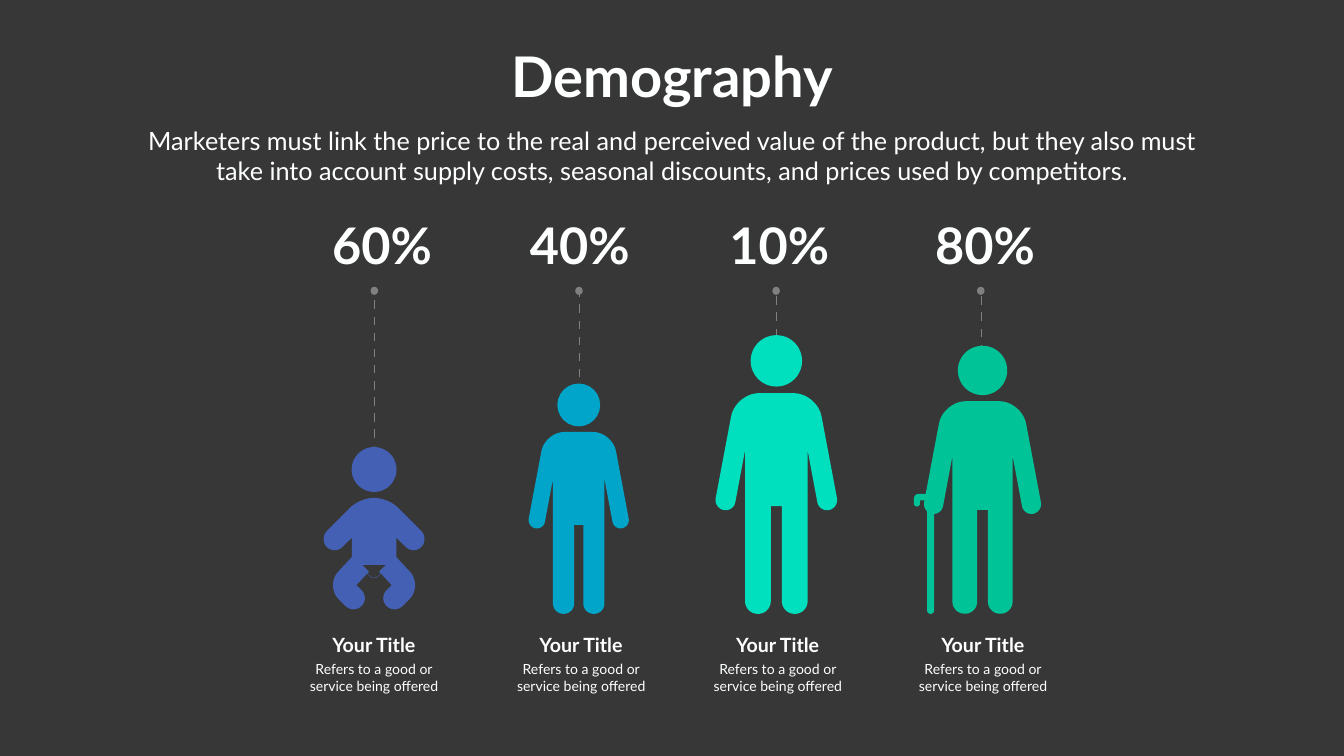
from math import hypot
from typing import NamedTuple

from lxml import etree
from pptx import Presentation
from pptx.dml.color import RGBColor
from pptx.enum.shapes import MSO_CONNECTOR, MSO_SHAPE
from pptx.enum.text import MSO_ANCHOR, PP_ALIGN
from pptx.oxml.ns import qn
from pptx.util import Emu, Pt

PX = 9144  # 100 px to the inch
STRAIGHT, OVAL = MSO_CONNECTOR.STRAIGHT, MSO_SHAPE.OVAL
CENTER, TOP = PP_ALIGN.CENTER, MSO_ANCHOR.TOP

BACKGROUND = RGBColor(0x37, 0x37, 0x37)
WHITE = RGBColor(0xFE, 0xFF, 0xFF)
GREY = RGBColor(0x80, 0x80, 0x80)
DIM = RGBColor(0x60, 0x60, 0x60)
BLUE = RGBColor(0x44, 0x60, 0xB4)
CYAN = RGBColor(0x00, 0xA5, 0xC9)
TURQUOISE = RGBColor(0x00, 0xDF, 0xBE)
GREEN = RGBColor(0x00, 0xC4, 0x97)

FONT = "Lato"
PIN_TOP, DASH, DASH_STEP = 577, 17, 32
CURVE_STEPS = 10
ROUNDNESS = 0.55


class Corner(NamedTuple):
    """A corner of an outline; cut is the length of each side lost to rounding."""
    x: int
    y: int
    cut: int = 0


class Figure(NamedTuple):
    center: int
    body_top: int
    scale: float
    head_top: int
    head_size: int
    color: RGBColor


class Column(NamedTuple):
    percent: str
    percent_left: int
    title_left: int
    pin_x: int
    pin_bottom: int
    dim_dashes: int
    figure: Figure


BABY = Figure(742, 988, 1, 887, 89, BLUE)
YOUNG = Figure(1148, 857, 0.824, 761, 85, CYAN)
ADULT = Figure(1540, 780, 1, 665, 102, TURQUOISE)
SENIOR = Figure(1949, 796, 0.963, 686, 98, GREEN)

COLUMNS = [
    Column("60%", 630, 645, 743, 933, 2, BABY),
    Column("40%", 1022, 1056, 1149, 813, 2, YOUNG),
    Column("10%", 1418, 1446, 1540, 733, 2, ADULT),
    Column("80%", 1826, 1853, 1946, 733, 1, SENIOR),
]

# Outlines are measured from the top centre of the body.
STANDING_HALF = [Corner(81, 0, 47), Corner(124, 228, 20), Corner(85, 236, 20), Corner(62, 113),
                 Corner(62, 438, 25), Corner(11, 438, 25), Corner(11, 224)]
BABY_HALF = [Corner(28, 0, 26), Corner(109, 81, 22), Corner(79, 113, 22),
             Corner(44, 79), Corner(44, 133)]
BABY_LEG = [Corner(42, 115), Corner(10, 146), Corner(35, 173), Corner(9, 199, 22),
            Corner(41, 230, 22), Corner(97, 174, 38)]
NAPPY = [Corner(-44, 119), Corner(44, 119), Corner(0, 164, 13)]
CANE = [Corner(-136, 184, 9), Corner(-96, 184, 13), Corner(-96, 422, 7), Corner(-110, 422, 7),
        Corner(-110, 197), Corner(-124, 197), Corner(-124, 209, 6), Corner(-136, 209, 6)]


def px(value: float) -> Emu:
    return Emu(round(value * PX))


def mirror(corners: list[Corner]) -> list[Corner]:
    return [Corner(-corner.x, corner.y, corner.cut) for corner in reversed(corners)]


def round_corners(corners: list[Corner]) -> list[tuple[float, float]]:
    """Return the outline's points, with a Bezier curve in place of each cut corner."""
    points = []
    for index, corner in enumerate(corners):
        if not corner.cut:
            points.append((corner.x, corner.y))
            continue
        ends = []
        for neighbour in (corners[index - 1], corners[(index + 1) % len(corners)]):
            dx, dy = neighbour.x - corner.x, neighbour.y - corner.y
            share = corner.cut / hypot(dx, dy)
            ends.append((dx * share, dy * share))
        (ax, ay), (bx, by) = ends
        for step in range(CURVE_STEPS + 1):
            t = step / CURVE_STEPS
            u = 1 - t
            start = u**3 + 3 * u * u * t * (1 - ROUNDNESS)
            end = t**3 + 3 * t * t * u * (1 - ROUNDNESS)
            points.append((corner.x + ax * start + bx * end, corner.y + ay * start + by * end))
    return points


def paint(shape, color: RGBColor) -> None:
    shape.shadow.inherit = False
    shape.fill.solid()
    shape.fill.fore_color.rgb = color
    shape.line.fill.background()


def draw_outline(page, figure: Figure, corners: list[Corner]):
    points = [(px(figure.center + x * figure.scale), px(figure.body_top + y * figure.scale))
              for x, y in round_corners(corners)]
    builder = page.shapes.build_freeform(*points[0], scale=1.0)
    builder.add_line_segments(points[1:], close=True)
    shape = builder.convert_to_shape()
    paint(shape, figure.color)
    return shape


def draw_oval(page, left: int, top: int, width: int, height: int, color: RGBColor) -> None:
    paint(page.shapes.add_shape(OVAL, px(left), px(top), px(width), px(height)), color)


def draw_pin(page, column: Column) -> None:
    x = px(column.pin_x)
    for index, bottom in enumerate(range(column.pin_bottom, PIN_TOP, -DASH_STEP)):
        dash = page.shapes.add_connector(
            STRAIGHT, x, px(bottom), x, px(max(bottom - DASH, PIN_TOP)))
        dash.line.color.rgb = DIM if index < column.dim_dashes else GREY
        dash.line.width = Pt(1.02)
        etree.SubElement(dash.line._get_or_add_ln().getparent(), qn("a:effectLst"))
    draw_oval(page, column.pin_x - 8, PIN_TOP - 8, 15, 16, GREY)


def draw_figure(page, figure: Figure) -> None:
    size = figure.head_size
    draw_oval(page, figure.center - size / 2, figure.head_top, size, size, figure.color)
    half = BABY_HALF if figure is BABY else STANDING_HALF
    draw_outline(page, figure, half + mirror(half))
    if figure is BABY:
        for leg in (BABY_LEG, mirror(BABY_LEG)):
            draw_outline(page, figure, leg)
        nappy = draw_outline(page, figure, NAPPY)
        nappy.fill.background()
        nappy.line.color.rgb = figure.color
        nappy.line.width = Pt(0.5)
    elif figure is SENIOR:
        draw_outline(page, figure._replace(scale=1), CANE)


def write(box, *lines: str, left: int, top: int, width: int, height: int,
          size: int, bold: bool = False, wrap: bool = True) -> None:
    box.left, box.top, box.width, box.height = px(left), px(top), px(width), px(height)
    frame = box.text_frame
    frame.word_wrap = wrap
    frame.vertical_anchor = TOP
    frame.text = "\n".join(lines)
    for para in frame.paragraphs:
        para.alignment = CENTER
        font = para.runs[0].font
        font.name, font.size, font.bold = FONT, Pt(size), bold
        font.color.rgb = WHITE


def add_text(page, *lines: str, **layout) -> None:
    write(page.shapes.add_textbox(0, 0, 0, 0), *lines, **layout)


def main() -> None:
    deck = Presentation()
    deck.slide_width, deck.slide_height = px(2666), px(1500)
    page = deck.slides.add_slide(deck.slide_layouts[5])
    page.background.fill.solid()
    page.background.fill.fore_color.rgb = BACKGROUND

    write(page.shapes.title, "Demography", left=997, top=78, width=672, height=145,
          size=80, bold=True, wrap=False)
    add_text(page, "Marketers must link the price to the real and perceived value of the product, "
             "but they also must take into account supply costs, seasonal discounts, "
             "and prices used by competitors.",
             left=268, top=244, width=2130, height=131, size=36)
    for column in COLUMNS:
        draw_pin(page, column)
        draw_figure(page, column.figure)
        add_text(page, column.percent, left=column.percent_left, top=419,
                 width=256, height=131, size=72, bold=True)
        add_text(page, "Your Title", left=column.title_left, top=1250,
                 width=193, height=57, size=28, bold=True)
        add_text(page, "Refers to a good or", "service being offered",
                 left=column.title_left - 47, top=1306, width=288, height=77, size=20)
    deck.save("out.pptx")


if __name__ == "__main__":
    main()
